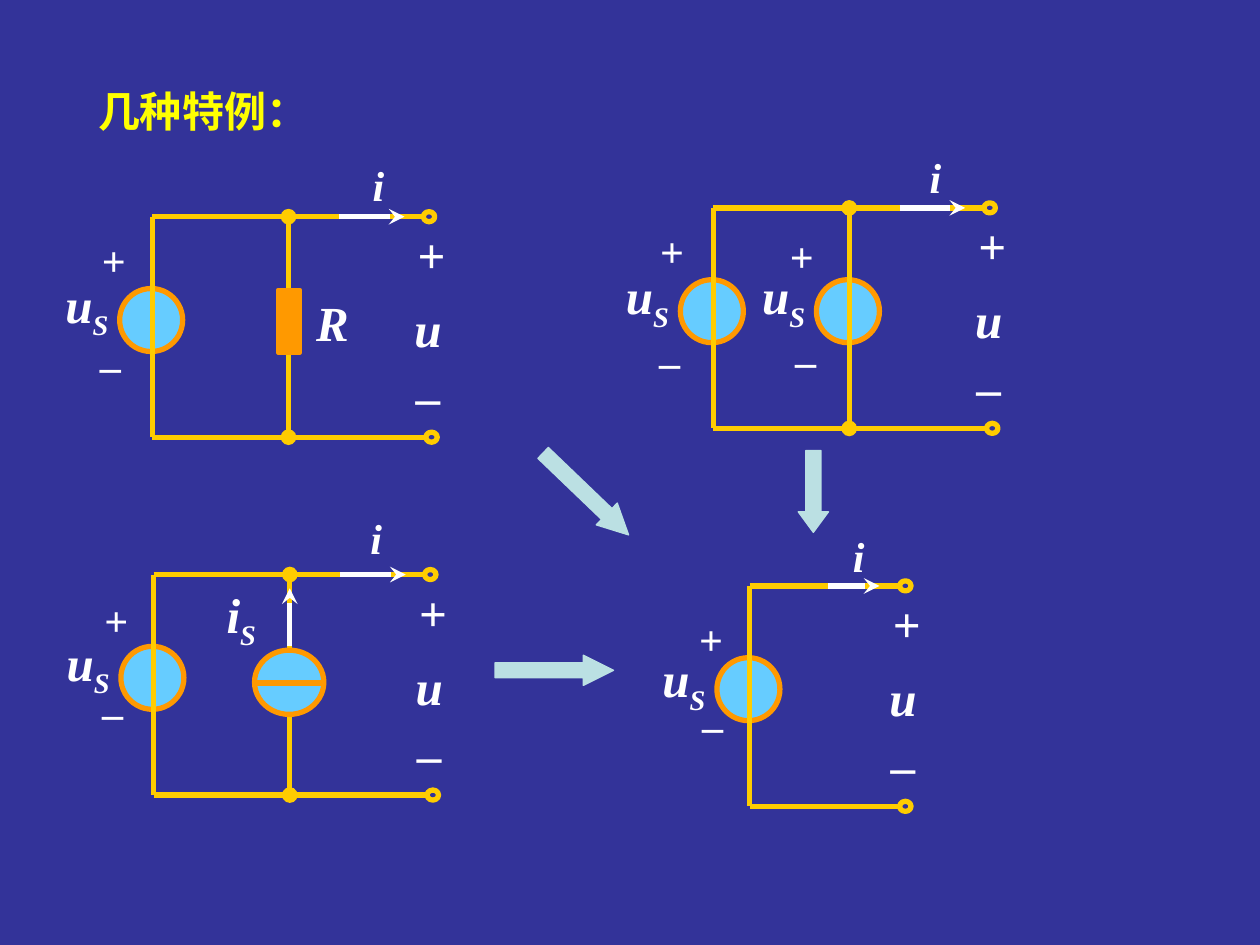
from lxml.etree import SubElement
from pptx import Presentation
from pptx.dml.color import RGBColor
from pptx.enum.shapes import MSO_CONNECTOR, MSO_SHAPE
from pptx.enum.text import MSO_ANCHOR, MSO_AUTO_SIZE, PP_ALIGN
from pptx.oxml.ns import qn
from pptx.util import Inches, Pt

BACKGROUND = RGBColor(0x33, 0x33, 0x99)
WIRE = RGBColor(0xFF, 0xCC, 0x00)
ORANGE = RGBColor(0xFF, 0x99, 0x00)
SOURCE_FILL = RGBColor(0x66, 0xCC, 0xFF)
WHITE = RGBColor(0xFF, 0xFF, 0xFF)
YELLOW = RGBColor(0xFF, 0xFF, 0x00)
ARROW = RGBColor(0xBB, 0xE0, 0xE3)

HEIGHT = 1.75
WIDTH = 2.16
BRANCH = 1.08


def add_line(shapes, start, end, color=WIRE, head=None, tail=None):
    line = shapes.add_connector(MSO_CONNECTOR.STRAIGHT, *map(Inches, start + end))
    line.line.color.rgb = color
    line.line.width = Pt(3)
    properties = line.line._get_or_add_ln()
    for tag, kind in (("a:headEnd", head), ("a:tailEnd", tail)):
        if kind:
            SubElement(properties, qn(tag), type=kind)
    SubElement(line._element.spPr, qn("a:effectLst"))


def add_figure(shapes, kind, box, fill, outline, weight=3):
    shape = shapes.add_shape(kind, *map(Inches, box))
    shape.shadow.inherit = False
    if fill is None:
        shape.fill.background()
    else:
        shape.fill.solid()
        shape.fill.fore_color.rgb = fill
    shape.line.color.rgb = outline
    shape.line.width = Pt(weight)
    return shape


def add_text(shapes, text, box, size, subscript="", color=WHITE,
             font="Times New Roman", italic=True, wrap=True):
    frame = shapes.add_textbox(*map(Inches, box)).text_frame
    frame.word_wrap = wrap
    frame.auto_size = MSO_AUTO_SIZE.SHAPE_TO_FIT_TEXT
    paragraph = frame.paragraphs[0]
    paragraph.font.name = font
    paragraph.font.size = Pt(size)
    paragraph.font.bold = True
    paragraph.font.italic = italic
    paragraph.font.color.rgb = color
    paragraph.add_run().text = text
    if subscript:
        run = paragraph.add_run()
        run.text = subscript
        run.font._element.set("baseline", "-25000")
    return frame


def add_sign(shapes, sign, left, top, size):
    height = 0.5 if size == 24 else 0.57
    width = 0.37 if sign == "_" else height * 0.76
    frame = add_text(shapes, sign, (left, top, width, height), size,
                     italic=False, wrap=sign == "_")
    frame.vertical_anchor = MSO_ANCHOR.MIDDLE
    frame.paragraphs[0].alignment = PP_ALIGN.CENTER


def add_voltage_source(shapes, x, y, plus, minus, label_top=0.41):
    add_figure(shapes, MSO_SHAPE.OVAL, (x - 0.26, y + 0.57, 0.5, 0.5),
               SOURCE_FILL, ORANGE)
    add_sign(shapes, "+", x + plus[0], y + plus[1], 24)
    add_sign(shapes, "_", x + minus[0], y + minus[1], 24)
    add_text(shapes, "u", (x - 0.79, y + label_top, 0.66, 0.63), 28, "S")


def add_port(shapes, x, y, current_left, current_top, arrow_length=0.52, stagger=0.01):
    add_text(shapes, "i", (x + current_left, y + current_top, 0.42, 0.5), 24)
    add_line(shapes, (x - 0.16 - arrow_length, y), (x - 0.16, y), WHITE, tail="stealth")
    add_text(shapes, "u", (x - 0.18, y + 0.6, 0.45, 0.57), 28)
    add_sign(shapes, "+", x - 0.16, y + 0.01, 28)
    add_sign(shapes, "_", x - 0.17, y + 1, 28)
    for left, top in ((x - stagger, y), (x + stagger, y + HEIGHT)):
        add_figure(shapes, MSO_SHAPE.OVAL, (left, top - 0.04, 0.09, 0.08), None, WIRE)


def add_loop(shapes, x, y, width):
    add_line(shapes, (x, y), (x, y + HEIGHT))
    for level in (y, y + HEIGHT):
        add_line(shapes, (x, level), (x + width, level))


def add_branch(shapes, x, y):
    add_line(shapes, (x, y), (x, y + HEIGHT), head="oval", tail="oval")


def add_resistor(shapes, x, y):
    add_figure(shapes, MSO_SHAPE.RECTANGLE, (x - 0.08, y + 0.58, 0.17, 0.5),
               ORANGE, ORANGE, 2.25)
    add_text(shapes, "R", (x + 0.12, y + 0.55, 0.45, 0.57), 28)


def add_current_source(shapes, x, y):
    add_figure(shapes, MSO_SHAPE.OVAL, (x - 0.28, y + 0.6, 0.55, 0.51),
               SOURCE_FILL, ORANGE)
    add_line(shapes, (x - 0.28, y + 0.86), (x + 0.27, y + 0.86), ORANGE)
    add_line(shapes, (x, y + 0.57), (x, y + 0.11), WHITE, tail="stealth")
    add_text(shapes, "i", (x - 0.6, y + 0.03, 0.51, 0.63), 28, "S")


def add_equivalent_circuit(slide, x, y):
    shapes = slide.shapes.add_group_shape().shapes
    width = 1.19
    add_voltage_source(shapes, x, y, (-0.5, 0.17), (-0.48, 0.74), 0.45)
    add_loop(shapes, x, y, width)
    add_port(shapes, x + width, y, -0.47, -0.49, 0.41, 0)


def add_two_source_circuit(slide, x, y):
    shapes = slide.shapes.add_group_shape().shapes
    add_voltage_source(shapes, x, y, (-0.52, 0.09), (-0.53, 0.85))
    add_voltage_source(shapes, x + BRANCH, y, (-0.57, 0.13), (-0.53, 0.84))
    add_loop(shapes, x, y, WIDTH)
    add_branch(shapes, x + BRANCH, y)
    add_port(shapes, x + WIDTH, y, -0.54, -0.5)


def add_current_source_circuit(slide, x, y):
    shapes = slide.shapes.add_group_shape().shapes
    add_voltage_source(shapes, x, y, (-0.49, 0.11), (-0.51, 0.73))
    add_loop(shapes, x, y, WIDTH)
    add_branch(shapes, x + BRANCH, y)
    add_port(shapes, x + WIDTH, y, -0.54, -0.54)
    add_current_source(shapes, x + BRANCH, y)


def add_resistor_circuit(slide, x, y):
    shapes = slide.shapes.add_group_shape().shapes
    add_voltage_source(shapes, x, y, (-0.5, 0.09), (-0.52, 0.81))
    add_loop(shapes, x, y, WIDTH)
    add_branch(shapes, x + BRANCH, y)
    add_port(shapes, x + WIDTH, y, -0.51, -0.5)
    add_resistor(shapes, x + BRANCH, y)


def add_block_arrow(slide, box, rotation=0, head=1):
    arrow = add_figure(slide.shapes, MSO_SHAPE.RIGHT_ARROW, box, ARROW, ARROW, 0.75)
    arrow.adjustments[0] = 0.5
    arrow.adjustments[1] = head
    arrow.rotation = rotation


def main():
    presentation = Presentation()
    presentation.slide_width = Inches(10)
    presentation.slide_height = Inches(7.5)
    slide = presentation.slides.add_slide(presentation.slide_layouts[6])
    slide.background.fill.solid()
    slide.background.fill.fore_color.rgb = BACKGROUND

    add_equivalent_circuit(slide, 5.95, 4.65)
    add_two_source_circuit(slide, 5.66, 1.65)
    add_current_source_circuit(slide, 1.22, 4.56)
    add_resistor_circuit(slide, 1.21, 1.72)
    add_text(slide.shapes, "几种特例：", (0.68, 0.63, 1.86, 0.5), 24,
             color=YELLOW, font="Arial", italic=False, wrap=False)
    add_block_arrow(slide, (4.18, 3.8, 0.94, 0.24), 43.8)
    add_block_arrow(slide, (3.93, 5.2, 0.94, 0.24))
    add_block_arrow(slide, (6.13, 3.78, 0.65, 0.24), 90, 0.68)

    presentation.save("out.pptx")


if __name__ == "__main__":
    main()
